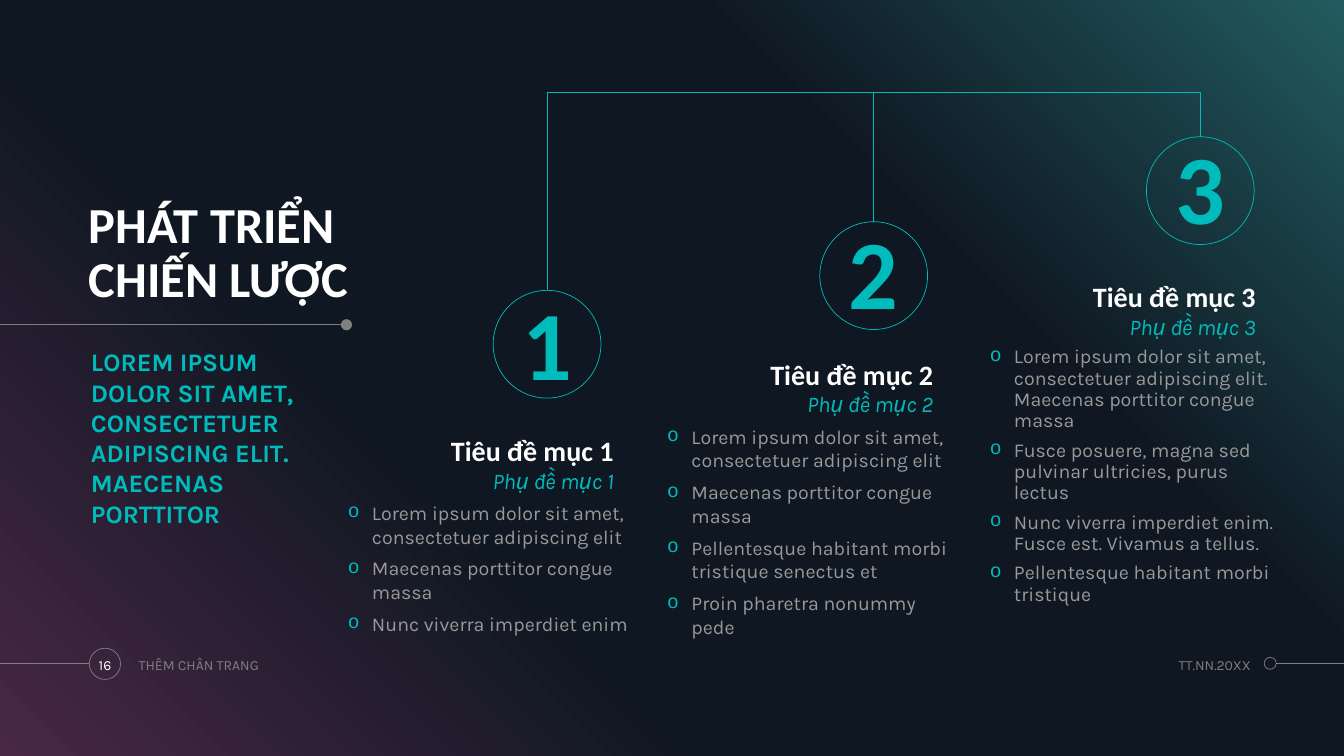
from dataclasses import dataclass

from lxml import etree
from pptx import Presentation
from pptx.dml.color import RGBColor
from pptx.enum.shapes import MSO_CONNECTOR, MSO_SHAPE
from pptx.enum.text import MSO_ANCHOR, PP_ALIGN
from pptx.oxml.ns import qn
from pptx.util import Pt


@dataclass(frozen=True)
class Theme:
    teal: str = "00BBBB"
    white: str = "FFFFFF"
    gray: str = "808080"
    body_gray: str = "999999"
    gradient: tuple = ((0, "482845"), (34, "0F1722"), (69, "0F1722"), (100, "225B5F"))
    heading_font: str = "Calibri"
    body_font: str = "Karla"
    title_size: int = 36
    lead_size: int = 18
    number_size: int = 70
    heading_size: int = 20
    subtitle_size: int = 16
    body_size: int = 14
    footer_size: int = 10
    line_width: float = 0.5


class SlideBuilder:
    def __init__(self, slide, theme):
        self.slide = slide
        self.theme = theme

    def background(self, width, height):
        shape = self.slide.shapes.add_shape(MSO_SHAPE.RECTANGLE, 0, 0, width, height)
        shape.shadow.inherit = False
        shape.line.fill.background()
        shape.fill.gradient()
        shape.fill.gradient_angle = 45
        stops = shape._element.spPr.find(qn("a:gradFill")).find(qn("a:gsLst"))
        for stop in list(stops):
            stops.remove(stop)
        for percent, color in self.theme.gradient:
            stop = etree.SubElement(stops, qn("a:gs"), pos=str(percent * 1000))
            etree.SubElement(stop, qn("a:srgbClr"), val=color)

    def line(self, start, end, color, circle=None):
        connector = self.slide.shapes.add_connector(
            MSO_CONNECTOR.STRAIGHT, *(Pt(value) for value in (*start, *end)))
        connector.line.color.rgb = RGBColor.from_string(color)
        connector.line.width = Pt(self.theme.line_width)
        etree.SubElement(connector._element.spPr, qn("a:effectLst"))
        if circle is not None:
            connector.begin_connect(circle, 0)

    def circle(self, left, top, diameter, color, filled=False):
        shape = self.slide.shapes.add_shape(
            MSO_SHAPE.OVAL, Pt(left), Pt(top), Pt(diameter), Pt(diameter))
        shape.shadow.inherit = False
        if filled:
            shape.fill.solid()
            shape.fill.fore_color.rgb = RGBColor.from_string(color)
            shape.line.fill.background()
        else:
            shape.fill.background()
            shape.line.color.rgb = RGBColor.from_string(color)
            shape.line.width = Pt(self.theme.line_width)
        return shape

    def frame(self, shape, anchor, insets=(0, 0, 0, 0)):
        frame = shape.text_frame
        frame.word_wrap = True
        frame.vertical_anchor = anchor
        frame.margin_left, frame.margin_top, frame.margin_right, frame.margin_bottom = (
            Pt(inset) for inset in insets)
        return frame

    def run(self, paragraph, text, size, color, font=None, bold=False, italic=False):
        run = paragraph.add_run()
        run.text = text
        run.font.name = font or self.theme.body_font
        run.font.size = Pt(size)
        run.font.bold = bold
        run.font.italic = italic
        run.font.color.rgb = RGBColor.from_string(color)

    def title(self, lines, left, top, width, height):
        shape = self.slide.shapes.title
        shape.left, shape.top, shape.width, shape.height = (
            Pt(value) for value in (left, top, width, height))
        paragraph = self.frame(shape, MSO_ANCHOR.BOTTOM).paragraphs[0]
        paragraph.alignment = PP_ALIGN.LEFT
        paragraph.line_spacing = 0.9
        for index, line in enumerate(lines):
            if index:
                paragraph.add_line_break()
            self.run(paragraph, line, self.theme.title_size, self.theme.white,
                     self.theme.heading_font, bold=True)

    def text(self, text, box, size, color, align=PP_ALIGN.LEFT, anchor=MSO_ANCHOR.TOP,
             insets=(0, 0, 0, 0), spacing=1.0, **style):
        shape = self.slide.shapes.add_textbox(*(Pt(value) for value in box))
        paragraph = self.frame(shape, anchor, insets).paragraphs[0]
        paragraph.alignment = align
        paragraph.line_spacing = spacing
        self.run(paragraph, text, size, color, **style)

    def number(self, circle, text, top_inset):
        frame = self.frame(circle, MSO_ANCHOR.MIDDLE, (0, top_inset, 0, 0))
        paragraph = frame.paragraphs[0]
        paragraph.alignment = PP_ALIGN.CENTER
        paragraph.line_spacing = 0.9
        self.run(paragraph, text, self.theme.number_size, self.theme.teal,
                 self.theme.heading_font, bold=True)

    def bullets(self, items, box, spacing):
        shape = self.slide.shapes.add_textbox(*(Pt(value) for value in box))
        frame = self.frame(shape, MSO_ANCHOR.TOP)
        for index, item in enumerate(items):
            paragraph = frame.add_paragraph() if index else frame.paragraphs[0]
            paragraph.line_spacing = spacing
            if index:
                paragraph.space_before = Pt(6)
            properties = paragraph._p.get_or_add_pPr()
            properties.set("marL", str(Pt(17.28)))
            properties.set("indent", str(-Pt(17.28)))
            color = etree.SubElement(properties, qn("a:buClr"))
            etree.SubElement(color, qn("a:srgbClr"), val=self.theme.teal)
            etree.SubElement(properties, qn("a:buFont"), typeface="Courier New")
            etree.SubElement(properties, qn("a:buChar"), char="o")
            self.run(paragraph, item, self.theme.body_size, self.theme.body_gray)


# Step number, circle top, number inset, column left, heading top, body height, spacing, items
STEPS = (
    ("1", 207.4, 5.8, 248.4, 306, 101, 1.0, (
        "Lorem ipsum dolor sit amet, consectetuer adipiscing elit",
        "Maecenas porttitor congue massa",
        "Nunc viverra imperdiet enim")),
    ("2", 158.4, 2.9, 476.6, 251.5, 140, 1.0, (
        "Lorem ipsum dolor sit amet, consectetuer adipiscing elit",
        "Maecenas porttitor congue massa",
        "Pellentesque habitant morbi tristique senectus et",
        "Proin pharetra nonummy pede")),
    ("3", 97.7, 2.9, 707, 196, 182, 0.9, (
        "Lorem ipsum dolor sit amet, consectetuer adipiscing elit. "
        "Maecenas porttitor congue massa",
        "Fusce posuere, magna sed pulvinar ultricies, purus lectus",
        "Nunc viverra imperdiet enim. Fusce est. Vivamus a tellus.",
        "Pellentesque habitant morbi tristique")),
)


def main():
    presentation = Presentation()
    presentation.slide_width, presentation.slide_height = Pt(960), Pt(540)
    slide = presentation.slides.add_slide(presentation.slide_layouts[5])
    theme = Theme()
    builder = SlideBuilder(slide, theme)

    # Background, behind the title
    builder.background(presentation.slide_width, presentation.slide_height)
    slide.shapes._spTree.append(slide.shapes.title._element)

    # Title, its rule and the lead text
    builder.title(("PHÁT TRIỂN", "CHIẾN LƯỢC"), 63.4, 118.8, 222.5, 101.5)
    builder.line((0, 232), (248, 232), theme.gray)
    builder.circle(243.5, 228, 8, theme.gray, filled=True)
    builder.text("LOREM IPSUM DOLOR SIT AMET, CONSECTETUER ADIPISCING ELIT. MAECENAS PORTTITOR",
                 (65, 247.7, 174, 165), theme.lead_size, theme.teal, bold=True)

    # Steps hanging from the top bar
    bar_top, first_center, step_gap, diameter = 65.9, 390.8, 233.3, 77
    last_center = first_center + step_gap * (len(STEPS) - 1)
    builder.line((first_center, bar_top), (last_center, bar_top), theme.teal)
    for index, step in enumerate(STEPS):
        number, circle_top, inset, left, top, body_height, spacing, items = step
        center = first_center + index * step_gap
        circle = builder.circle(center - diameter / 2, circle_top, diameter, theme.teal)
        builder.number(circle, number, inset)
        builder.line((center, circle_top), (center, bar_top), theme.teal, circle)
        label = dict(align=PP_ALIGN.RIGHT, anchor=MSO_ANCHOR.BOTTOM, spacing=0.9)
        builder.text(f"Tiêu đề mục {number}", (left, top, 190, 28), theme.heading_size,
                     theme.white, font=theme.heading_font, bold=True, **label)
        builder.text(f"Phụ đề mục {number}", (left, top + 28.2, 190, 18.7),
                     theme.subtitle_size, theme.teal, italic=True, **label)
        builder.bullets(items, (left, top + 51.8, 204, body_height), spacing)

    # Footer
    builder.line((0, 474), (63.5, 474), theme.gray)
    builder.circle(63.8, 463, 22.3, theme.gray)
    builder.circle(903, 469.5, 8.6, theme.gray)
    builder.line((911.6, 473.8), (960, 473.8), theme.gray)
    footer_top, footer_height = 463, 24
    footer = dict(size=theme.footer_size, anchor=MSO_ANCHOR.MIDDLE)
    builder.text("16", (61, footer_top, 28, footer_height), color=theme.white,
                 align=PP_ALIGN.CENTER, insets=(7.2, 3.6, 7.2, 3.6), **footer)
    builder.text("THÊM CHÂN TRANG", (92, footer_top, 230, footer_height), color=theme.gray,
                 insets=(7.2, 3.6, 7.2, 3.6), **footer)
    builder.text("TT.NN.20XX", (788.5, footer_top, 105, footer_height), color=theme.gray,
                 align=PP_ALIGN.RIGHT, **footer)

    presentation.save("out.pptx")


if __name__ == "__main__":
    main()
